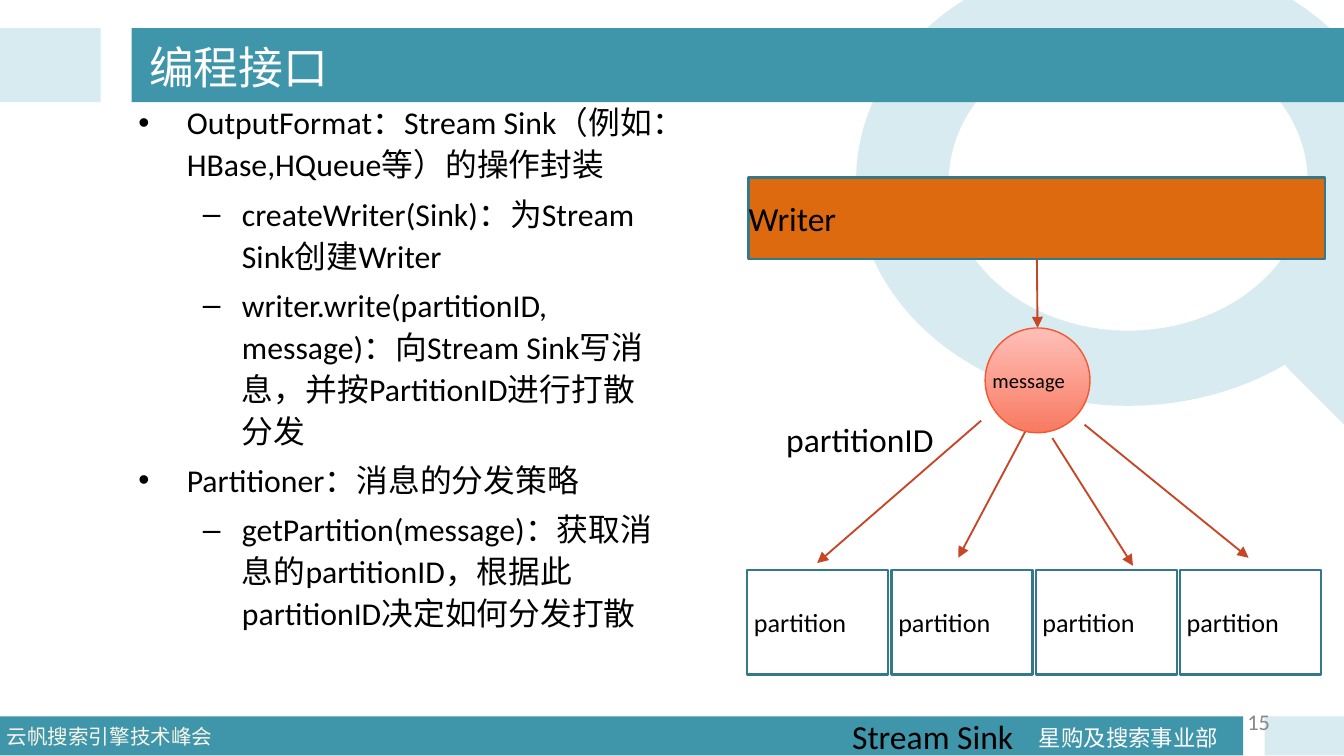
from lxml import etree
from pptx import Presentation
from pptx.dml.color import RGBColor
from pptx.enum.shapes import MSO_CONNECTOR, MSO_SHAPE
from pptx.enum.text import MSO_ANCHOR, MSO_AUTO_SIZE, PP_ALIGN
from pptx.oxml.ns import qn
from pptx.util import Inches, Pt

RECTANGLE, OVAL, ROUNDED = MSO_SHAPE.RECTANGLE, MSO_SHAPE.OVAL, MSO_SHAPE.ROUNDED_RECTANGLE
STRAIGHT = MSO_CONNECTOR.STRAIGHT
TOP, MIDDLE = MSO_ANCHOR.TOP, MSO_ANCHOR.MIDDLE
LEFT, RIGHT = PP_ALIGN.LEFT, PP_ALIGN.RIGHT
NO_AUTOFIT = MSO_AUTO_SIZE.NONE

LATIN, CJK = "Calibri", "Noto Sans CJK SC"
COLORS = {
    "teal": "3F95AA", "pale": "D7EBF0", "border": "33798A", "white": "FFFFFF",
    "black": "000000", "cream": "F9F7EA", "gray": "888888", "orange": "DE6A10",
    "arrow": "C64626", "message_top": "FFBFB8", "message_bottom": "F87A61",
    "message_line": "F7572F",
}
BULLETS = [("•", 0.36, 0.36), ("–", 0.77, 0.29)]
BODY = [
    (0, "OutputFormat：Stream Sink（例如：HBase,HQueue等）的操作封装"),
    (1, "createWriter(Sink)：为Stream Sink创建Writer"),
    (1, "writer.write(partitionID, message)：向Stream Sink写消息，并按PartitionID进行打散分发"),
    (0, "Partitioner：消息的分发策略"),
    (1, "getPartition(message)：获取消息的partitionID，根据此partitionID决定如何分发打散"),
]
PARTITION_ARROWS = [
    (7.3, 3.13, 6.08, 4.19), (7.64, 3.19, 7.13, 4.15),
    (7.83, 3.26, 8.43, 4.21), (8.07, 3.16, 9.29, 4.15),
]


def color(name):
    """Return the named colour as an RGBColor."""
    return RGBColor.from_string(COLORS[name])


def set_frame(frame, anchor=TOP, inset=0.05, wrap=True):
    """Set the insets, wrapping and anchor of a text frame."""
    frame.auto_size = NO_AUTOFIT
    frame.word_wrap = wrap
    frame.vertical_anchor = anchor
    frame.margin_left = frame.margin_right = Inches(inset)
    frame.margin_top = frame.margin_bottom = Inches(inset)


def write_text(paragraph, text, size=18, fill="black", font=LATIN, align=LEFT):
    """Write one formatted run into a paragraph."""
    paragraph.alignment = align
    run = paragraph.add_run()
    run.text = text
    run.font.size = Pt(size)
    run.font.name = font
    run.font.color.rgb = color(fill)
    etree.SubElement(run.font._element, qn("a:ea"), typeface=CJK)


def add_label(slide, box, text, anchor=TOP, wrap=False, spacing=1.0, **text_format):
    """Add a one-paragraph text box."""
    label = slide.shapes.add_textbox(*map(Inches, box))
    set_frame(label.text_frame, anchor, wrap=wrap)
    paragraph = label.text_frame.paragraphs[0]
    paragraph.line_spacing = spacing
    write_text(paragraph, text, **text_format)


def add_block(slide, kind, box, fill, line=None, line_width=1.25):
    """Add a filled preset shape with an optional outline."""
    shape = slide.shapes.add_shape(kind, *map(Inches, box))
    shape.shadow.inherit = False
    shape.fill.solid()
    shape.fill.fore_color.rgb = color(fill)
    if line:
        shape.line.color.rgb = color(line)
        shape.line.width = Pt(line_width)
    else:
        shape.line.fill.background()
    return shape


def label_block(shape, text, size, inset=0.05):
    """Write left-aligned, vertically centred text in a shape."""
    set_frame(shape.text_frame, MIDDLE, inset)
    write_text(shape.text_frame.paragraphs[0], text, size=size)


def add_arrow(slide, *points):
    """Add a straight arrow between two points."""
    arrow = slide.shapes.add_connector(STRAIGHT, *map(Inches, points))
    arrow.line.color.rgb = color("arrow")
    arrow.line.width = Pt(1)
    etree.SubElement(arrow.line._get_or_add_ln(), qn("a:tailEnd"), type="triangle")
    etree.SubElement(arrow._element.spPr, qn("a:effectLst"))
    return arrow


def add_backdrop(slide):
    """Draw the magnifier, the header bars and the footer."""
    add_block(slide, OVAL, (6.37, -0.34, 4.05, 3.36), "pale")
    add_block(slide, OVAL, (7.06, 0.24, 2.67, 2.22), "white")
    handle = add_block(slide, ROUNDED, (9.29, 2.58, 2.1, 0.76), "pale")
    handle.adjustments[0] = 0.5
    handle.rotation = 45
    for box, fill in [
        ((0, 5.33, 9.25, 0.29), "teal"), ((9.41, 5.33, 0.59, 0.29), "pale"),
        ((0, 0.21, 0.75, 0.55), "pale"), ((0.98, 0.21, 9.02, 0.55), "teal"),
    ]:
        add_block(slide, RECTANGLE, box, fill)
    add_label(slide, (7.68, 5.3, 1.45, 0.32), "星购及搜索事业部",
              spacing=1.2, size=12, fill="white", font=CJK)
    add_label(slide, (0, 5.34, 1.77, 0.31), "云帆搜索引擎技术峰会",
              size=11, fill="cream", font=CJK)


def add_title(slide, text):
    """Place the title placeholder in front of the header bar."""
    title = slide.shapes.title
    title.left, title.top, title.width, title.height = map(Inches, (1.06, 0.07, 8.44, 0.85))
    set_frame(title.text_frame, MIDDLE)
    write_text(title.text_frame.paragraphs[0], text, size=24, fill="white")
    slide.shapes._spTree.append(title._element)


def add_body(slide):
    """Add the two-level bullet list."""
    body = slide.shapes.add_textbox(*map(Inches, (0.98, 0.69, 4.02, 4.7)))
    frame = body.text_frame
    set_frame(frame)
    for index, (level, text) in enumerate(BODY):
        paragraph = frame.add_paragraph() if index else frame.paragraphs[0]
        paragraph.level = level
        paragraph.line_spacing = 1.1
        paragraph.space_before = Pt(4 if index else 0)
        mark, margin, hanging = BULLETS[level]
        properties = paragraph._element.get_or_add_pPr()
        properties.set("marL", str(Inches(margin)))
        properties.set("indent", str(-Inches(hanging)))
        etree.SubElement(properties, qn("a:buFont"), typeface="Arial")
        etree.SubElement(properties, qn("a:buChar"), char=mark)
        write_text(paragraph, text, size=17)


def add_diagram(slide):
    """Draw the writer, the message and its partitions."""
    for column in range(4):
        box = (5.56 + 3.22 * column / 3, 4.24, 1.05, 0.78)
        partition = add_block(slide, RECTANGLE, box, "white", "border")
        label_block(partition, "partition", 14)
    writer = add_block(slide, RECTANGLE, (5.57, 1.32, 4.29, 0.61), "orange", "border")
    label_block(writer, "Writer", 18, inset=0)
    for points in PARTITION_ARROWS:
        add_arrow(slide, *points)
    add_label(slide, (6.29, 5.28, 1.31, 0.4), "Stream Sink")

    message = add_block(slide, OVAL, (7.33, 2.44, 0.78, 0.78),
                        "message_top", "message_line", 0.75)
    message.fill.gradient()
    message.fill.gradient_angle = 270
    for stop, name, position in zip(message.fill.gradient_stops,
                                    ("message_top", "message_bottom"), (0, 1)):
        stop.color.rgb = color(name)
        stop.position = position
    label_block(message, "message", 11, inset=-0.06)
    arrow = add_arrow(slide, 7.72, 1.93, 7.72, 2.44)
    arrow.begin_connect(writer, 2)
    arrow.end_connect(message, 0)
    add_label(slide, (5.8, 3.07, 1.22, 0.41), "partitionID")


def main():
    """Build and save the slide."""
    presentation = Presentation()
    presentation.slide_width = Inches(10)
    presentation.slide_height = presentation.slide_width * 9 // 16
    slide = presentation.slides.add_slide(presentation.slide_layouts[5])
    add_backdrop(slide)
    add_title(slide, "编程接口")
    add_body(slide)
    add_label(slide, (7.17, 5.22, 2.33, 0.29), "15", anchor=MIDDLE, wrap=True,
              size=12, fill="gray", align=RIGHT)
    add_diagram(slide)
    presentation.save("out.pptx")


if __name__ == "__main__":
    main()
